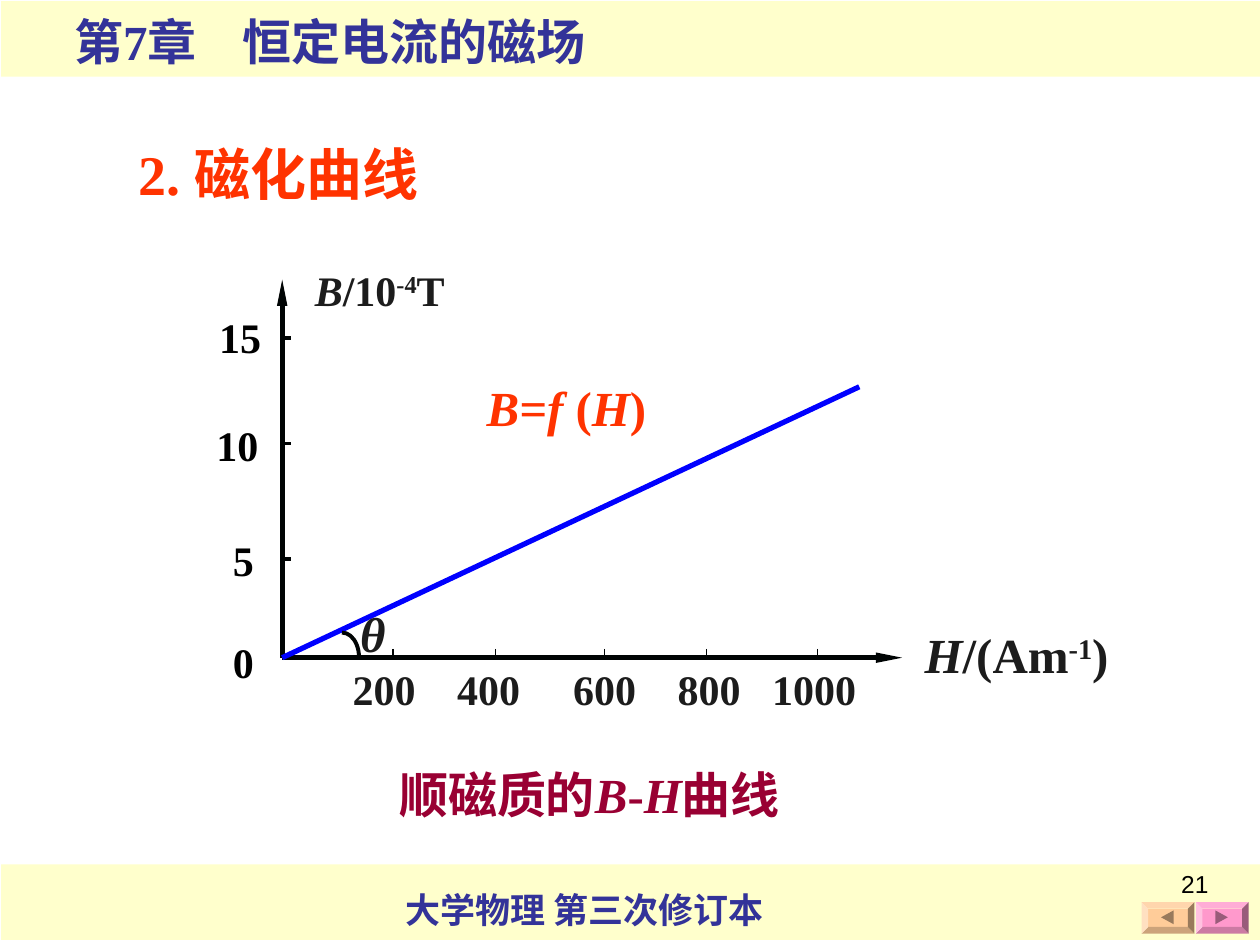
from dataclasses import dataclass

from lxml import etree
from pptx import Presentation
from pptx.dml.color import RGBColor
from pptx.enum import shapes, text
from pptx.oxml import ns
from pptx.util import Inches, Pt

CREAM = RGBColor(0xFF, 0xFF, 0xCC)
NAVY = RGBColor(0x33, 0x33, 0x99)
RED = RGBColor(0xFF, 0x33, 0x00)
WINE = RGBColor(0x99, 0x00, 0x33)
INK = RGBColor(0x1C, 0x1C, 0x1C)
AXIS = RGBColor(0x00, 0x04, 0x04)
BLACK = RGBColor(0, 0, 0)
BLUE = RGBColor(0, 0, 0xFF)
PINK = RGBColor(0xFF, 0x99, 0xCC)
PEACH = RGBColor(0xFF, 0xCC, 0x99)
MAUVE = RGBColor(0x99, 0x5C, 0x7A)
BROWN = RGBColor(0x99, 0x7A, 0x5C)

SERIF = "Times New Roman"
KIND = shapes.MSO_SHAPE
ALIGN = text.PP_ALIGN
X0, Y0 = 2.24, 5.22  # origin of the graph


@dataclass
class Run:
    text: str
    ital: bool = False
    sup: bool = False


@dataclass
class Label:
    left: float
    top: float
    width: float
    height: float
    runs: list[Run]
    size: float
    color: RGBColor
    wrap: bool = False
    align: ALIGN = ALIGN.LEFT
    tabs: tuple[float, ...] = ()
    font: str = SERIF
    bold: bool = True


@dataclass
class Button:
    left: float
    fill: RGBColor
    mark: RGBColor
    turn: int


LABELS = [
    Label(3.12, 7, 3.12, 0.44, [Run("大学物理 第三次修订本")], 20, NAVY),
    Label(0.49, 0.04, 6.24, 0.57, [Run("第7章\t恒定电流的磁场")], 28, NAVY,
          wrap=True, tabs=(1.34,)),
    Label(1, 1.06, 5.99, 0.64, [Run("2. 磁化曲线")], 32, RED, wrap=True),
    Label(2.76, 4.74, 0.4, 0.57, [Run("θ", ital=True)], 28, INK),
    Label(2.7, Y0, 4.2, 0.5, [Run("200\t400\t600\t800\t1000")], 24, INK,
          wrap=True, tabs=(0.83, 1.75, 2.58, 3.33)),
    Label(7.24, 4.91, 1.66, 0.57,
          [Run("H", ital=True), Run("/(Am"), Run("-1", sup=True), Run(")")],
          28, INK),
    Label(2.4, 2.05, 1.23, 0.5,
          [Run("B", ital=True), Run("/10"), Run("-4", sup=True), Run("T")],
          24, INK),
    Label(3.65, 2.95, 1.69, 0.57,
          [Run("B=f ", ital=True), Run("("), Run("H", ital=True), Run(")")],
          28, RED, wrap=True, align=ALIGN.CENTER),
    Label(3.07, 6.02, 3.8, 0.57,
          [Run("顺磁质的"), Run("B", ital=True), Run("-"),
           Run("H", ital=True), Run("曲线")], 28, WINE, wrap=True),
    Label(1.75, 5, 0.36, 0.5, [Run("0")], 24, BLACK),
    Label(1.75, 4.19, 0.36, 0.5, [Run("5")], 24, BLACK),
    Label(1.62, 3.28, 0.53, 0.5, [Run("10")], 24, BLACK),
    Label(1.64, 2.42, 0.53, 0.5, [Run("15")], 24, BLACK),
    Label(7.36, 6.85, 2.33, 0.52, [Run("21")], 14, BLACK, wrap=True,
          align=ALIGN.RIGHT, font="Arial", bold=False),
]
BUTTONS = [Button(9.06, PEACH, BROWN, -90), Button(9.49, PINK, MAUVE, 90)]
H_TICKS = (3.12, 3.93, 4.8, 5.61, 6.49)
B_TICKS = (4.44, 3.52, 2.68)


def add_label(slide, label: Label) -> None:
    box = slide.shapes.add_textbox(Inches(label.left), Inches(label.top),
                                   Inches(label.width), Inches(label.height))
    frame = box.text_frame
    frame.word_wrap = label.wrap
    para = frame.paragraphs[0]
    para.alignment = label.align
    if label.tabs:
        stops = etree.SubElement(para._p.get_or_add_pPr(), ns.qn("a:tabLst"))
        for pos in label.tabs:
            etree.SubElement(stops, ns.qn("a:tab"), pos=str(Inches(pos)), algn="l")
    for part in label.runs:
        run = para.add_run()
        run.text = part.text
        font = run.font
        font.name, font.size = label.font, Pt(label.size)
        font.bold, font.italic = label.bold, part.ital
        font.color.rgb = label.color
        if part.sup:
            font._element.set("baseline", "30000")


def add_line(slide, x1: float, y1: float, x2: float, y2: float,
             color: RGBColor, width: float, arrow: bool = False) -> None:
    line = slide.shapes.add_connector(
        shapes.MSO_CONNECTOR.STRAIGHT,
        Inches(x1), Inches(y1), Inches(x2), Inches(y2))
    line.line.color.rgb = color
    line.line.width = Pt(width)
    if arrow:
        etree.SubElement(line.line._get_or_add_ln(), ns.qn("a:tailEnd"),
                         type="triangle", w="sm", len="lg")
    etree.SubElement(line._element.spPr, ns.qn("a:effectLst"))


def add_block(slide, kind: KIND, left: float, top: float, width: float,
              height: float, fill: RGBColor):
    """Add a filled preset shape without outline or shadow."""
    block = slide.shapes.add_shape(kind, Inches(left), Inches(top),
                                   Inches(width), Inches(height))
    block.shadow.inherit = False
    block.fill.solid()
    block.fill.fore_color.rgb = fill
    block.line.fill.background()
    return block


def add_button(slide, button: Button) -> None:
    bevel = add_block(slide, KIND.BEVEL, button.left, 7.16, 0.42, 0.25, button.fill)
    bevel.adjustments[0] = 0.21
    mark = add_block(slide, KIND.ISOSCELES_TRIANGLE, button.left + 0.15, 7.23,
                     0.11, 0.1, button.mark)
    mark.rotation = button.turn


def add_graph(slide) -> None:
    add_line(slide, X0, Y0, 7.16, Y0, AXIS, 3, arrow=True)
    add_line(slide, X0, Y0, X0, 2.22, AXIS, 3, arrow=True)
    add_line(slide, X0, Y0, 6.82, 3.07, BLUE, 3)
    arc = slide.shapes.add_shape(KIND.ARC, Inches(2.58), Inches(5.02),
                                 Inches(0.27), Inches(0.39))
    arc.shadow.inherit = False
    arc.fill.background()
    arc.line.color.rgb = AXIS
    arc.line.width = Pt(2.25)
    for x in H_TICKS:
        add_line(slide, x, Y0 - 0.07, x, Y0, AXIS, 0.75)
    for y in B_TICKS:
        add_line(slide, X0, y, X0 + 0.07, y, AXIS, 2.25)


def main() -> None:
    deck = Presentation()
    deck.slide_width, deck.slide_height = Inches(10), Inches(7.5)
    slide = deck.slides.add_slide(deck.slide_layouts[6])
    for top in (6.86, 0.01):
        add_block(slide, KIND.RECTANGLE, 0.01, top, 9.99, 0.6, CREAM)
    for button in BUTTONS:
        add_button(slide, button)
    add_graph(slide)
    for label in LABELS:
        add_label(slide, label)
    deck.save("out.pptx")


if __name__ == "__main__":
    main()
